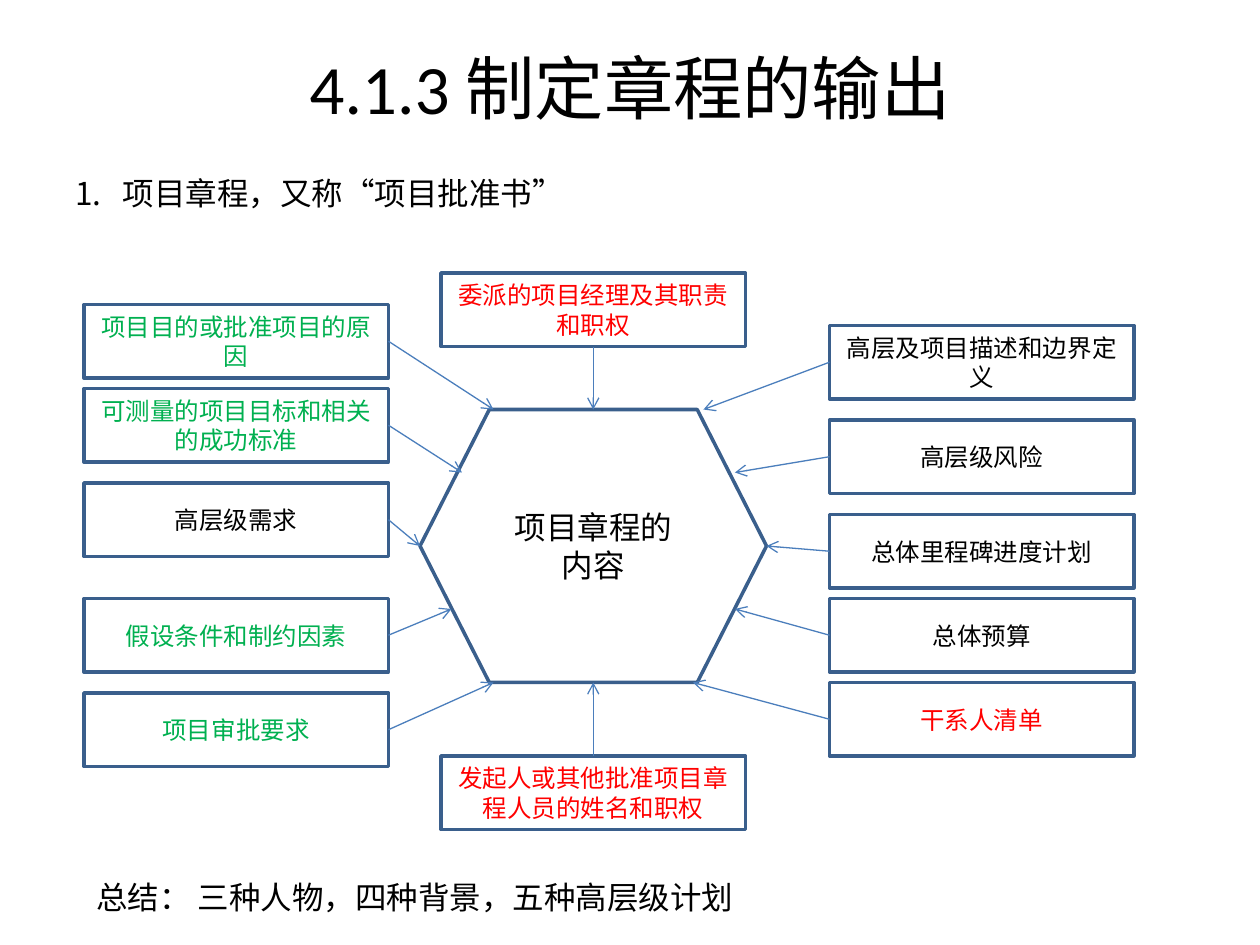
from pptx import Presentation, util as u
from pptx.dml.color import RGBColor
from pptx.enum import shapes, text
from pptx.oxml.ns import qn
from lxml import etree

PX = 9525
BLACK = RGBColor(0x00, 0x00, 0x00)
WHITE = RGBColor(0xFF, 0xFF, 0xFF)
RED = RGBColor(0xFF, 0x00, 0x00)
GREEN = RGBColor(0x00, 0xB0, 0x50)
BORDER = RGBColor(0x3A, 0x5F, 0x8C)
ARROW = RGBColor(0x4B, 0x7E, 0xBC)
BOX_W, BOX_H = 232, 56
LEFT_X, MID_X, RIGHT_X = 64, 336, 632
HEX_X, HEX_Y, HEX_W, HEX_H = 320, 312, 264, 208


def write(sp, words, size=14, color=BLACK, align=text.PP_ALIGN.CENTER,
          anchor=text.MSO_ANCHOR.MIDDLE, fit=text.MSO_AUTO_SIZE.NONE, numbered=False):
    tf = sp.text_frame
    tf.word_wrap = True
    tf.auto_size = fit
    tf.vertical_anchor = anchor
    p = tf.paragraphs[0]
    p.alignment = align
    if numbered:
        pPr = p._p.get_or_add_pPr()
        pPr.set("marL", str(36 * PX))
        pPr.set("indent", str(-36 * PX))
        etree.SubElement(pPr, qn("a:buAutoNum"), type="arabicPeriod")
    r = p.add_run()
    r.text = words
    r.font.name = "Calibri"
    r.font.size = u.Pt(size)
    r.font.color.rgb = color


def outlined(kind, x, y, w, h):
    sp = s.shapes.add_shape(kind, x * PX, y * PX, w * PX, h * PX)
    sp.shadow.inherit = False
    sp.fill.solid()
    sp.fill.fore_color.rgb = WHITE
    sp.line.color.rgb = BORDER
    sp.line.width = u.Pt(2)
    return sp


prs = Presentation()
prs.slide_width = 960 * PX
prs.slide_height = 720 * PX
s = prs.slides.add_slide(prs.slide_layouts[5])

title = s.shapes.title
title.left, title.top, title.width, title.height = [n * PX for n in (48, 29, 864, 75)]
write(title, "4.1.3 制定章程的输出", size=39.6)

notes = [
    (48, 128, 888, "项目章程，又称“项目批准书”", True),
    (64, 664, 768, "总结： 三种人物，四种背景，五种高层级计划", False),
]
for x, y, w, words, numbered in notes:
    sp = s.shapes.add_textbox(x * PX, y * PX, w * PX, 38 * PX)
    write(sp, words, size=18, align=text.PP_ALIGN.LEFT, anchor=text.MSO_ANCHOR.TOP,
          fit=text.MSO_AUTO_SIZE.SHAPE_TO_FIT_TEXT, numbered=numbered)

hexagon = outlined(shapes.MSO_SHAPE.FLOWCHART_PREPARATION, HEX_X, HEX_Y, HEX_W, HEX_H)
write(hexagon, "项目章程的内容", size=18)

items = [
    (MID_X, 208, "委派的项目经理及其职责和职权", RED, 452, 312),
    (MID_X, 576, "发起人或其他批准项目章程人员的姓名和职权", RED, 452, 520),
    (LEFT_X, 232, "项目目的或批准项目的原因", GREEN, 376, 312),
    (LEFT_X, 296, "可测量的项目目标和相关的成功标准", GREEN, 352, 360),
    (LEFT_X, 368, "高层级需求", BLACK, 320, 416),
    (LEFT_X, 456, "假设条件和制约因素", GREEN, 344, 464),
    (LEFT_X, 528, "项目审批要求", GREEN, 376, 520),
    (RIGHT_X, 248, "高层及项目描述和边界定义", BLACK, 536, 312),
    (RIGHT_X, 320, "高层级风险", BLACK, 560, 360),
    (RIGHT_X, 392, "总体里程碑进度计划", BLACK, 584, 416),
    (RIGHT_X, 456, "总体预算", BLACK, 560, 464),
    (RIGHT_X, 520, "干系人清单", RED, 528, 520),
]
for x, y, words, color, end_x, end_y in items:
    sp = outlined(shapes.MSO_SHAPE.RECTANGLE, x, y, BOX_W, BOX_H)
    write(sp, words, color=color)

    if x == MID_X:
        start_x = x + BOX_W // 2
        start_y = y + BOX_H if y < HEX_Y else y
    else:
        start_x = x + BOX_W if x == LEFT_X else x
        start_y = y + BOX_H // 2
    line = s.shapes.add_connector(shapes.MSO_CONNECTOR.STRAIGHT, start_x * PX,
                                  start_y * PX, end_x * PX, end_y * PX)
    line.line.color.rgb = ARROW
    line.line.width = u.Pt(0.75)
    etree.SubElement(line.line._get_or_add_ln(), qn("a:tailEnd"), type="arrow")
    etree.SubElement(line._element.spPr, qn("a:effectLst"))

prs.save("out.pptx")
